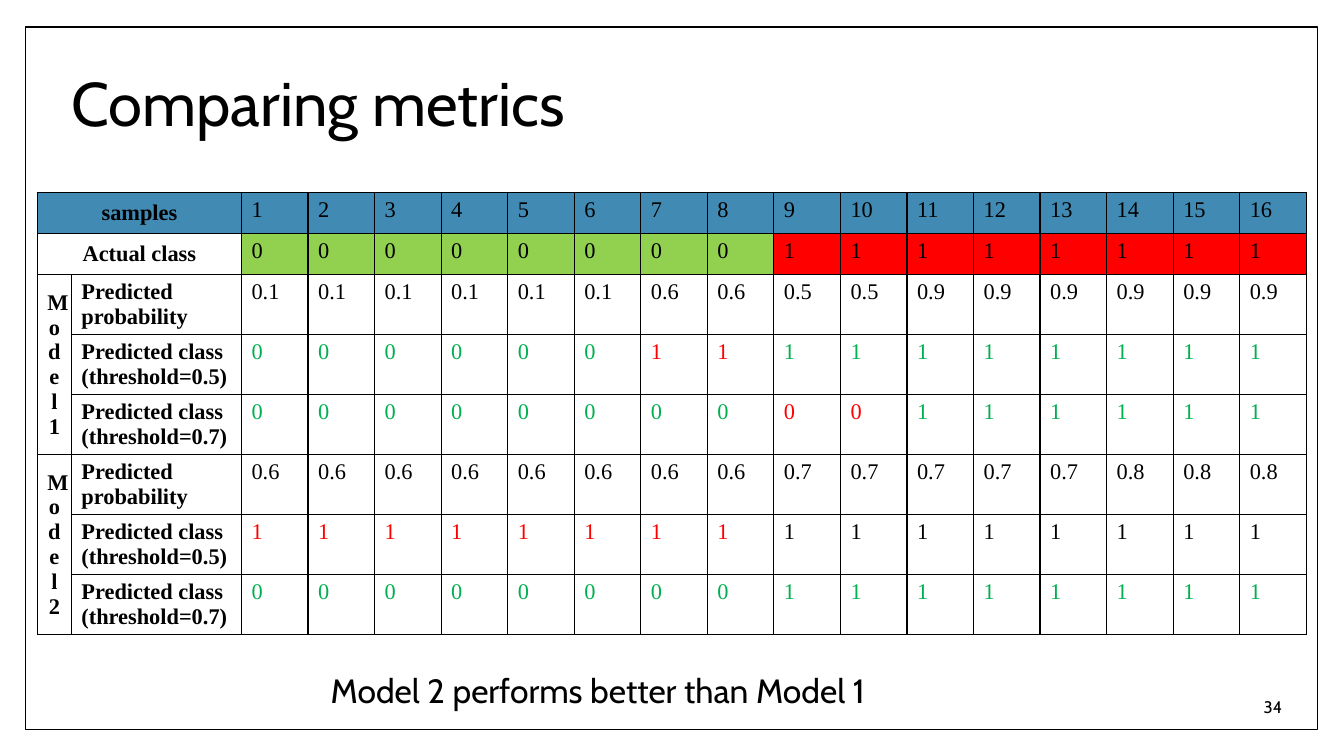
from pptx import Presentation
from pptx.dml.color import RGBColor
from pptx.enum.shapes import MSO_SHAPE as Shape
from pptx.enum.text import MSO_ANCHOR as Anchor, PP_ALIGN as Align
from pptx.oxml import parse_xml
from pptx.oxml.ns import nsdecls
from pptx.util import Pt

BLACK = RGBColor(0x00, 0x00, 0x00)
WHITE = RGBColor(0xFF, 0xFF, 0xFF)
BLUE = RGBColor(0x41, 0x8A, 0xB3)
LIME = RGBColor(0x92, 0xD0, 0x50)
RED = RGBColor(0xFF, 0x00, 0x00)
GREEN = RGBColor(0x00, 0xB0, 0x50)

ACTUAL = [0] * 8 + [1] * 8
THRESHOLDS = (0.5, 0.7)
MODELS = {
    "Model 1": ([0.1] * 6 + [0.6] * 2 + [0.5] * 2 + [0.9] * 6, (GREEN, GREEN)),
    "Model 2": ([0.6] * 8 + [0.7] * 5 + [0.8] * 3, (BLACK, GREEN)),
}
LABEL_WIDTHS = (24.3, 121.5)
HEADER_HEIGHT, BODY_HEIGHT = 29.4, 42.85


def apply_format(target, values):
    """Set each attribute of the target from a dict."""
    for name, value in values.items():
        setattr(target, name, value)


def write_text(frame, text, size, font="Cabin", color=BLACK, bold=False,
               align=Align.LEFT, anchor=Anchor.TOP, spacing=None):
    """Fill a text frame with one formatted paragraph."""
    apply_format(frame, {"word_wrap": True, "vertical_anchor": anchor})
    paragraph = frame.paragraphs[0]
    apply_format(paragraph, {"alignment": align, "line_spacing": spacing})
    run = paragraph.add_run()
    run.text = text
    apply_format(run.font, {"name": font, "size": Pt(size), "bold": bold})
    run.font.color.rgb = color


def place_title(slide, left, top, width, height):
    """Place the slide title in its box."""
    title = slide.shapes.title
    apply_format(title, {"left": Pt(left), "top": Pt(top),
                         "width": Pt(width), "height": Pt(height)})
    write_text(title.text_frame, "Comparing metrics", 44,
               align=Align.LEFT, anchor=Anchor.MIDDLE, spacing=0.9)


def place_frame(slide, left, top, width, height):
    """Draw the page border behind everything else."""
    frame = slide.shapes.add_shape(
        Shape.RECTANGLE, Pt(left), Pt(top), Pt(width), Pt(height))
    frame.shadow.inherit = False
    frame.fill.solid()
    frame.fill.fore_color.rgb = WHITE
    frame.line.color.rgb = BLACK
    frame.line.width = Pt(1)
    slide.shapes.title.element.addprevious(frame.element)


def place_text(slide, box, text, size, **formats):
    """Add a text box with one line of text."""
    text_box = slide.shapes.add_textbox(*map(Pt, box))
    write_text(text_box.text_frame, text, size, **formats)


def style_cell(cell, fill=None):
    """Give a cell thin black borders and its fill."""
    properties = cell._tc.get_or_add_tcPr()
    for side in "LRTB":
        properties.append(parse_xml(
            f'<a:ln{side} {nsdecls("a")} w="{Pt(1)}"><a:solidFill>'
            f'<a:srgbClr val="{BLACK}"/></a:solidFill></a:ln{side}>'))
    if fill is None:
        cell.fill.background()
    else:
        cell.fill.solid()
        cell.fill.fore_color.rgb = fill


def write_cell(cell, text, **formats):
    """Write table text in a cell."""
    write_text(cell.text_frame, text, 16, font="Times New Roman", **formats)
    cell.vertical_anchor = formats.get("anchor", Anchor.TOP)


def write_label(table, row, column, text, last_row, last_column, align):
    """Write a bold label across the given span of cells."""
    cell = table.cell(row, column)
    if (row, column) != (last_row, last_column):
        cell.merge(table.cell(last_row, last_column))
    write_cell(cell, text, bold=True, align=align, anchor=Anchor.MIDDLE)


def write_values(table, row, values, colors):
    """Write one value per sample in a row."""
    for column, (value, color) in enumerate(zip(values, colors), 2):
        write_cell(table.cell(row, column), str(value), color=color)


def write_model(table, top_row, name, probabilities, hit_colors):
    """Write the three rows of a model, deriving classes from thresholds."""
    write_label(table, top_row, 0, name, top_row + 2, 0, Align.CENTER)
    write_label(table, top_row, 1, "Predicted probability", top_row, 1, Align.LEFT)
    write_values(table, top_row, probabilities, [BLACK] * len(ACTUAL))
    for row, (threshold, hit) in enumerate(zip(THRESHOLDS, hit_colors), top_row + 1):
        predicted = [int(probability >= threshold) for probability in probabilities]
        colors = [hit if guess == truth else RED
                  for guess, truth in zip(predicted, ACTUAL)]
        write_label(table, row, 1, f"Predicted class (threshold={threshold})",
                    row, 1, Align.LEFT)
        write_values(table, row, predicted, colors)


def place_table(slide, left, top, width):
    """Build the comparison table at the given position and width."""
    samples = len(ACTUAL)
    heights = [HEADER_HEIGHT] * 2 + [BODY_HEIGHT] * 3 * len(MODELS)
    sample_width = (width - sum(LABEL_WIDTHS)) / samples
    widths = [*LABEL_WIDTHS] + [sample_width] * samples
    table = slide.shapes.add_table(len(heights), len(widths), Pt(left), Pt(top),
                                   Pt(width), Pt(sum(heights))).table
    apply_format(table, {"first_row": False, "horz_banding": False})
    for column, column_width in zip(table.columns, widths):
        column.width = Pt(column_width)
    for row, height in zip(table.rows, heights):
        row.height = Pt(height)
    class_fills = [None, None] + [RED if truth else LIME for truth in ACTUAL]
    fills = {0: [BLUE] * len(widths), 1: class_fills}
    for row in range(len(heights)):
        for column, fill in enumerate(fills.get(row, [None] * len(widths))):
            style_cell(table.cell(row, column), fill)
    headers = {"samples": range(1, samples + 1), "Actual class": ACTUAL}
    for row, (label, values) in enumerate(headers.items()):
        write_label(table, row, 0, label, row, 1, Align.CENTER)
        write_values(table, row, values, [BLACK] * samples)
    for index, (name, (probabilities, hit_colors)) in enumerate(MODELS.items()):
        write_model(table, 2 + 3 * index, name, probabilities, hit_colors)


def main():
    """Build and save the presentation."""
    presentation = Presentation()
    apply_format(presentation, {"slide_width": Pt(960), "slide_height": Pt(540)})
    slide = presentation.slides.add_slide(presentation.slide_layouts[5])
    place_frame(slide, 18, 19.4, 923, 501.9)
    place_title(slide, 43.9, 23, 879.1, 106.6)
    place_table(slide, 26.7, 137.5, 906.6)
    place_text(slide, (788.4, 490.3, 134.6, 28.8), "34", 12,
               align=Align.RIGHT, anchor=Anchor.MIDDLE)
    place_text(slide, (103.7, 475.2, 646.6, 36), "Model 2 performs better than Model 1",
               24, align=Align.CENTER)
    presentation.save("out.pptx")


if __name__ == "__main__":
    main()
